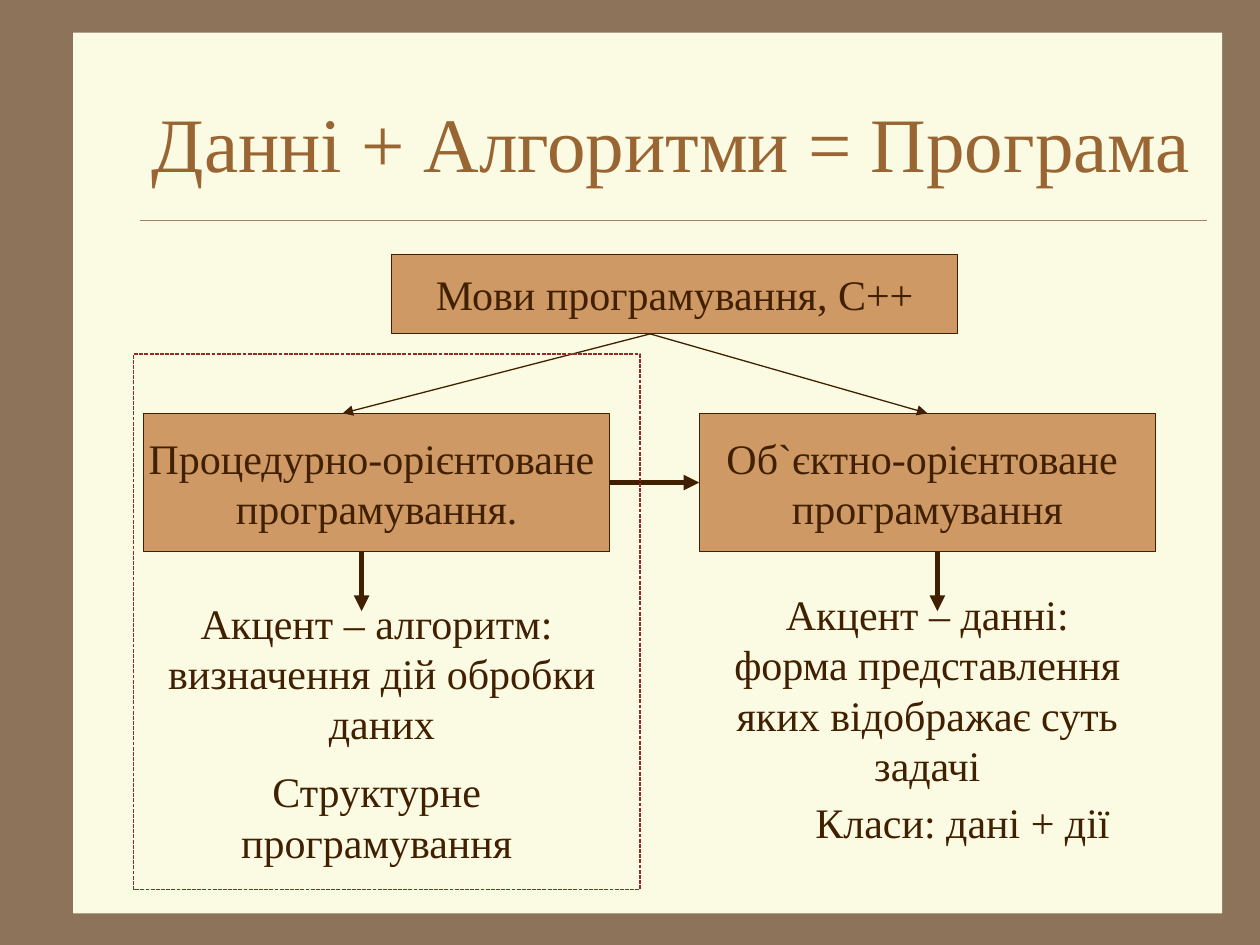
"""Build a slide on data, algorithms and two styles of programming."""
from dataclasses import dataclass
from typing import Optional

from lxml import etree
from pptx import Presentation
from pptx import util as u
from pptx.dml.color import RGBColor
from pptx.enum import dml, shapes, text
from pptx.oxml import ns

BROWN = RGBColor(0x8C, 0x73, 0x5A)
CREAM = RGBColor(0xFB, 0xFA, 0xE2)
TAN = RGBColor(0xCE, 0x99, 0x64)
DARK = RGBColor(0x40, 0x20, 0x00)
RUST = RGBColor(0x99, 0x66, 0x33)
SAND = RGBColor(0xA0, 0x83, 0x66)
RED = RGBColor(0x9A, 0x26, 0x26)
FONT = "Times New Roman"
WIDE, HIGH = u.Inches(10), u.Inches(7.5)
COLS, ROWS = 100, 75


@dataclass
class Area:
    """Place on the grid, in columns and rows."""
    col: float
    row: float
    cols: float
    rows: float

    @property
    def mid(self) -> float:
        return self.col + self.cols / 2

    @property
    def end(self) -> float:
        return self.col + self.cols

    @property
    def foot(self) -> float:
        return self.row + self.rows


@dataclass
class Label:
    """Text lines in an area, boxed when a fill is given."""
    area: Area
    lines: tuple[str, ...]
    fill: Optional[RGBColor] = None
    wrap: bool = True
    size: float = 24
    color: RGBColor = DARK


@dataclass
class Link:
    """Line between two grid points."""
    start: tuple[float, float]
    stop: tuple[float, float]
    width: float = 0.75
    color: RGBColor = DARK
    arrow: bool = True


def across(col: float) -> int:
    """Turn columns into a length."""
    return round(WIDE * col / COLS)


def down(row: float) -> int:
    """Turn rows into a length."""
    return round(HIGH * row / ROWS)


def place(area: Area) -> tuple[int, int, int, int]:
    """Turn an area into left, top, width and height."""
    return across(area.col), down(area.row), across(area.cols), down(area.rows)


def draw_box(slide, area: Area, fill: Optional[RGBColor], line: Optional[RGBColor]):
    """Draw a plain rectangle."""
    box = slide.shapes.add_shape(shapes.MSO_SHAPE.RECTANGLE, *place(area))
    box.shadow.inherit = False
    if fill is None:
        box.fill.background()
    else:
        box.fill.solid()
        box.fill.fore_color.rgb = fill
    if line is None:
        box.line.fill.background()
    else:
        box.line.color.rgb = line
        box.line.width = u.Pt(0.75)
    return box


def draw_label(slide, label: Label) -> None:
    """Draw centred text, with a box behind it when filled."""
    if label.fill is None:
        box = slide.shapes.add_textbox(*place(label.area))
    else:
        box = draw_box(slide, label.area, label.fill, DARK)
    frame = box.text_frame
    frame.word_wrap = label.wrap
    middle = label.fill is not None or not label.wrap
    anchor = text.MSO_ANCHOR
    frame.vertical_anchor = anchor.MIDDLE if middle else anchor.TOP
    para = frame.paragraphs[0]
    para.alignment = text.PP_ALIGN.CENTER
    for index, line in enumerate(label.lines):
        if index:
            para.add_line_break()
        run = para.add_run()
        run.text = line
        run.font.name = FONT
        run.font.size = u.Pt(label.size)
        run.font.color.rgb = label.color


def draw_link(slide, link: Link) -> None:
    """Draw a straight line, with a head at its end when asked."""
    (left, top), (right, low) = link.start, link.stop
    line = slide.shapes.add_connector(
        shapes.MSO_CONNECTOR.STRAIGHT, across(left), down(top), across(right), down(low))
    line.line.color.rgb = link.color
    line.line.width = u.Pt(link.width)
    if link.arrow:
        etree.SubElement(line.line._get_or_add_ln(), ns.qn("a:tailEnd"), type="triangle")
    etree.SubElement(line._element.spPr, ns.qn("a:effectLst"))


def main() -> None:
    """Build and save the slide."""
    deck = Presentation()
    deck.slide_width, deck.slide_height = WIDE, HIGH
    slide = deck.slides.add_slide(deck.slide_layouts[6])
    back = slide.background.fill
    back.solid()
    back.fore_color.rgb = BROWN

    page = Area(5.8, 2.6, 91.2, 69.9)
    head = Area(10.8, 5, 85, 12.5)
    root = Area(31.1, 20.2, 44.9, 6.3)
    proc = Area(11.4, 32.8, 37, 11)
    obj = Area(55.5, 32.8, 36.2, 11)
    fork = (51.6, root.foot)
    level = proc.row + proc.rows / 2

    draw_box(slide, page, CREAM, None)
    draw_link(slide, Link((11.1, head.foot), (head.end, head.foot), 0.25, SAND, False))
    labels = (
        Label(head, ("Данні + Алгоритми = Програма",), None, False, 44, RUST),
        Label(root, ("Мови програмування, С++",), TAN, False),
        Label(proc, ("Процедурно-орієнтоване ", "програмування."), TAN, False),
        Label(obj, ("Об`єктно-орієнтоване ", "програмування"), TAN, False),
        Label(Area(12.2, 46.9, 36.2, 13),
              ("Акцент – алгоритм: ", "визначення дій обробки", "даних")),
        Label(Area(obj.col, 46.2, obj.cols, 17),
              ("Акцент – данні:", "форма представлення яких відображає суть задачі")),
        Label(Area(proc.col, 60.3, proc.cols, 9), ("Структурне програмування",)),
        Label(Area(58.7, 62.7, 35.4, 5), ("Класи: дані + дії",)),
    )
    for label in labels:
        draw_label(slide, label)

    links = (
        Link(fork, (27.2, proc.row)),
        Link(fork, (obj.mid, obj.row)),
        Link((proc.end, level), (obj.col, level), 3),
        Link((28.7, proc.foot), (28.7, 48.5), 3),
        Link((74.4, obj.foot), (74.4, 48.5), 3),
    )
    for link in links:
        draw_link(slide, link)

    frame = draw_box(slide, Area(10.6, 28.1, 40.2, 42.5), None, RED)
    frame.line.dash_style = dml.MSO_LINE.SQUARE_DOT
    deck.save("out.pptx")


if __name__ == "__main__":
    main()
